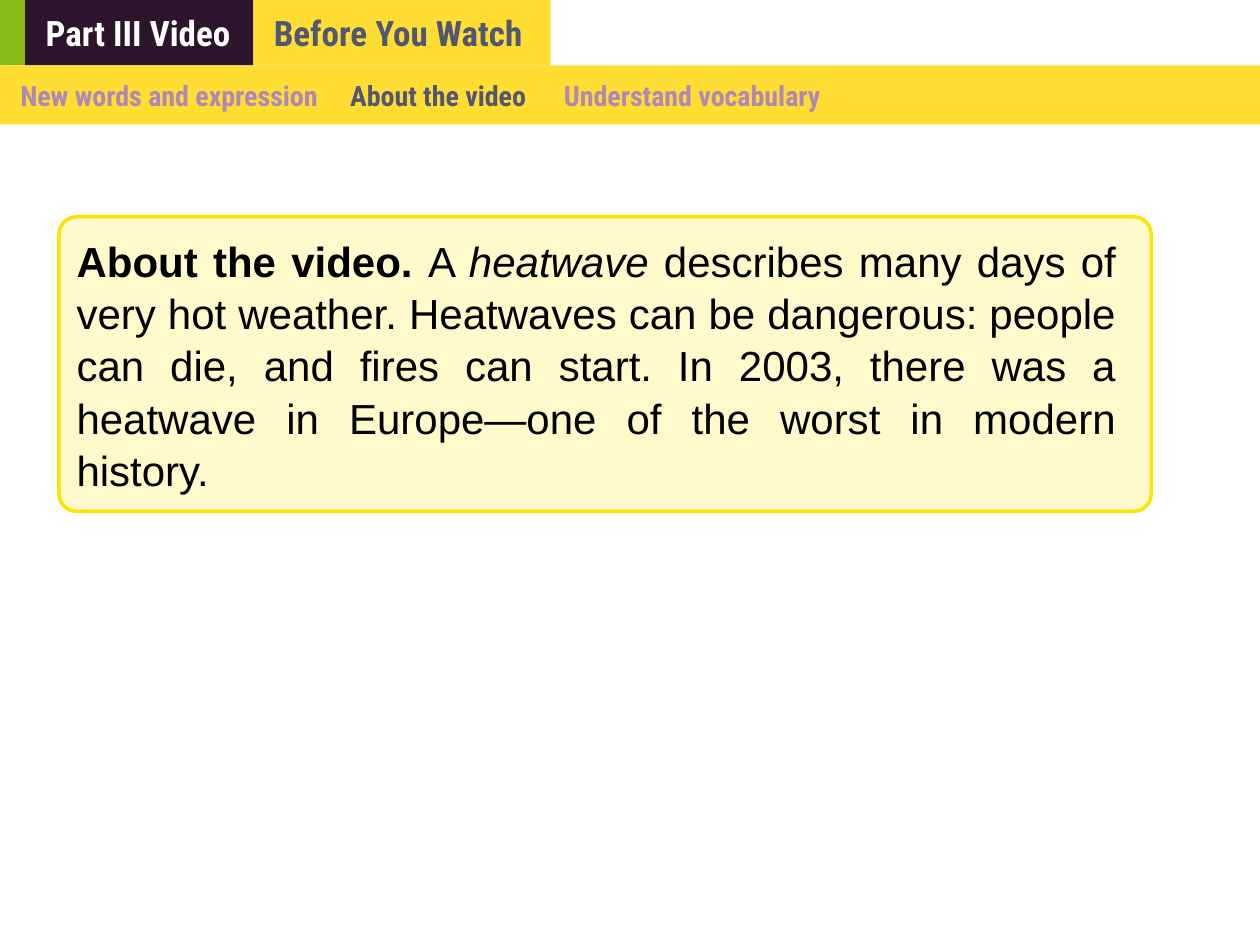
from dataclasses import dataclass

from lxml.etree import SubElement
from pptx import Presentation
from pptx.dml.color import RGBColor
from pptx.enum.shapes import MSO_SHAPE
from pptx.enum.text import MSO_ANCHOR, PP_ALIGN
from pptx.oxml.ns import qn
from pptx.util import Cm, Pt


@dataclass(frozen=True)
class Theme:
    green: str = "88BB16"
    yellow: str = "FFDD33"
    plum: str = "2C142C"
    slate: str = "515672"
    mauve: str = "AF88B6"
    white: str = "FFFFFF"
    black: str = "000000"
    cream: str = "FFF9CC"
    border: str = "FEE200"
    heading_font: str = "Roboto Condensed"
    body_font: str = "Arial"
    heading_size: int = 20
    nav_size: int = 16
    body_size: int = 24


THEME = Theme()
BAR_INSETS = (0.41, 0.13, 0.25, 0.13)
CARD_INSETS = (0.25, 0.13, 0.61, 0.13)


def add_panel(slide, box, fill, kind=MSO_SHAPE.RECTANGLE):
    panel = slide.shapes.add_shape(kind, *(Cm(length) for length in box))
    panel.shadow.inherit = False
    panel.fill.solid()
    panel.fill.fore_color.rgb = RGBColor.from_string(fill)
    panel.line.fill.background()
    return panel


def prepare_paragraph(panel, insets, align=PP_ALIGN.LEFT):
    """Set up the panel's text frame and return its first paragraph."""
    left, top, right, bottom = (Cm(inset) for inset in insets)
    frame_format = {
        "margin_left": left, "margin_top": top,
        "margin_right": right, "margin_bottom": bottom,
        "vertical_anchor": MSO_ANCHOR.MIDDLE, "word_wrap": True,
    }
    for name, value in frame_format.items():
        setattr(panel.text_frame, name, value)
    paragraph = panel.text_frame.paragraphs[0]
    paragraph.alignment = align
    return paragraph


def add_run(paragraph, text, color, font, size, bold=False, italic=False):
    run = paragraph.add_run()
    run.text = text
    run_format = {"name": font, "size": Pt(size), "bold": bold, "italic": italic}
    for name, value in run_format.items():
        setattr(run.font, name, value)
    run.font.color.rgb = RGBColor.from_string(color)


def add_tab_stops(paragraph, stops):
    tab_list = SubElement(paragraph._p.get_or_add_pPr(), qn("a:tabLst"))
    for stop in stops:
        SubElement(tab_list, qn("a:tab"), pos=str(Cm(stop)), algn="l")


def add_title_band(slide, left, top, height):
    accent_width = 0.51
    add_panel(slide, (left, top, accent_width, height), THEME.green)
    left += accent_width
    titles = [
        ("Part III Video", 4.6, THEME.plum, THEME.white),
        ("Before You Watch", 5.99, THEME.yellow, THEME.slate),
    ]
    for title, width, fill, color in titles:
        panel = add_panel(slide, (left, top, width, height), fill)
        add_run(prepare_paragraph(panel, BAR_INSETS), title, color,
                THEME.heading_font, THEME.heading_size, bold=True)
        left += width


def add_navigation(slide, box, sections, current, stops):
    paragraph = prepare_paragraph(add_panel(slide, box, THEME.yellow), BAR_INSETS)
    add_tab_stops(paragraph, stops)
    for index, section in enumerate(sections):
        color = THEME.slate if section == current else THEME.mauve
        text = f"\t{section}" if index else section
        add_run(paragraph, text, color, THEME.heading_font, THEME.nav_size, bold=True)


def add_summary_card(slide, box, passages):
    card = add_panel(slide, box, THEME.cream, MSO_SHAPE.ROUNDED_RECTANGLE)
    card.adjustments[0] = 0.06
    card.line.color.rgb = RGBColor.from_string(THEME.border)
    card.line.width = Pt(2)
    paragraph = prepare_paragraph(card, CARD_INSETS, PP_ALIGN.JUSTIFY)
    paragraph.line_spacing = 1.04
    for text, style in passages:
        add_run(paragraph, text, THEME.black, THEME.body_font, THEME.body_size, **style)


def main():
    presentation = Presentation()
    presentation.slide_width, presentation.slide_height = Cm(25.4), Cm(19.05)
    slide = presentation.slides.add_slide(presentation.slide_layouts[6])

    band_height = 1.32
    add_title_band(slide, 0, 0, band_height)
    add_navigation(
        slide, (0, band_height, 25.4, 1.19),
        ["New words and expression", "About the video", "Understand vocabulary"],
        current="About the video", stops=(6.65, 10.96),
    )
    add_summary_card(slide, (1.19, 4.37, 22.02, 5.94), [
        ("About the video. ", {"bold": True}),
        ("A ", {}),
        ("heatwave", {"italic": True}),
        (" describes many days of very hot weather. Heatwaves can be dangerous: "
         "people can die, and fires can start. In 2003, there was a heatwave in "
         "Europe—one of the worst in modern history.", {}),
    ])
    presentation.save("out.pptx")


if __name__ == "__main__":
    main()
